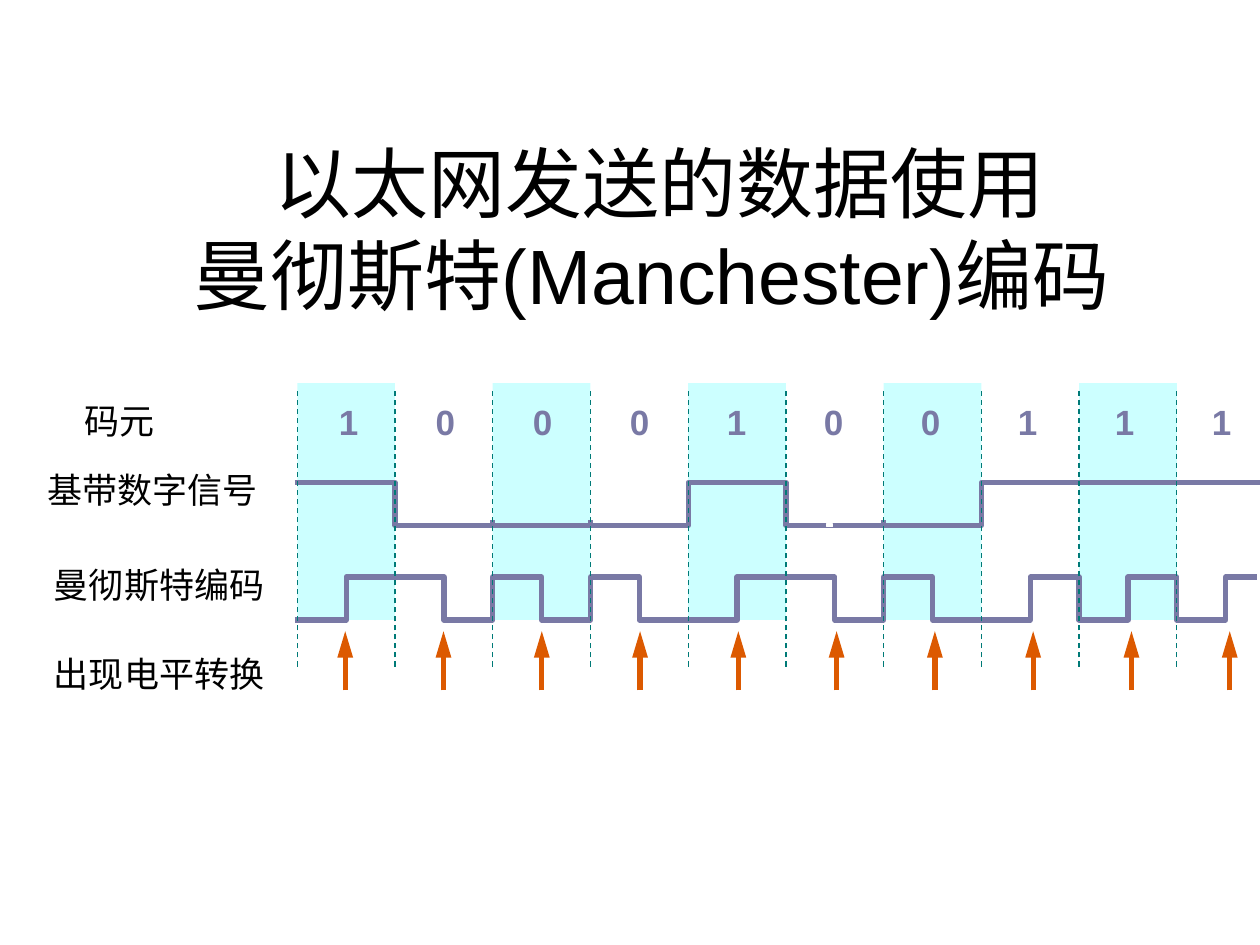
import pptx
import pptx.util
import pptx.dml.color
import pptx.enum.dml
import pptx.enum.shapes
import pptx.enum.text
import pptx.oxml
import pptx.oxml.ns
from pptx.util import Inches

BITS = "1000100111"
GRID_LEFT = 2.36
PITCH = (9.34 - GRID_LEFT) / 9
SIGNAL_LEFT = 2.34
BASEBAND = {"1": 3.83, "0": 4.17}
HIGH, LOW = 4.58, 4.92
HALVES = {"1": (LOW, HIGH), "0": (HIGH, LOW)}

PURPLE, CYAN, TEAL, ORANGE = "7979A5", "CCFFFF", "007A77", "DC5900"
BLACK, WHITE = "000000", "FFFFFF"
ALIGN = pptx.enum.text.PP_ALIGN
ANCHOR = pptx.enum.text.MSO_ANCHOR


def rgb(value):
    return pptx.dml.color.RGBColor.from_string(value)


def set_attrs(target, values):
    for name, value in values.items():
        setattr(target, name, value)


def edge(i):
    return GRID_LEFT + i * PITCH


def style_line(line, color, width, dash=None):
    line.color.rgb = rgb(color)
    set_attrs(line, {"width": pptx.util.Pt(width), "dash_style": dash})


def add_text(s, box, text, size=20, color=BLACK, bold=False, align=ALIGN.LEFT,
             anchor=ANCHOR.TOP, wrap=False):
    tf = s.shapes.add_textbox(*map(Inches, box)).text_frame
    set_attrs(tf, {"word_wrap": wrap, "vertical_anchor": anchor})
    p = tf.paragraphs[0]
    p.alignment = align
    for i, part in enumerate(text.split("\n")):
        if i:
            p.add_line_break()
        r = p.add_run()
        r.text = part
        set_attrs(r.font, {"name": "Arial", "size": pptx.util.Pt(size), "bold": bold})
        r.font.color.rgb = rgb(color)


def add_rect(s, box, fill, line=None):
    sp = s.shapes.add_shape(pptx.enum.shapes.MSO_SHAPE.RECTANGLE, *map(Inches, box))
    sp.shadow.inherit = False
    sp.fill.solid()
    sp.fill.fore_color.rgb = rgb(fill)
    if line:
        style_line(sp.line, line, 0.75)
    else:
        sp.line.fill.background()


def add_vertical(s, x, bottom, top, color, width, dash=None, arrow=False):
    kind = pptx.enum.shapes.MSO_CONNECTOR.STRAIGHT
    sp = s.shapes.add_connector(kind, *map(Inches, (x, bottom, x, top)))
    style_line(sp.line, color, width, dash)
    if arrow:
        end = pptx.oxml.parse_xml(
            '<a:tailEnd %s type="triangle" w="med" len="lg"/>' % pptx.oxml.ns.nsdecls("a"))
        sp.line._get_or_add_ln().append(end)
    effects = pptx.oxml.parse_xml("<a:effectLst %s/>" % pptx.oxml.ns.nsdecls("a"))
    sp._element.spPr.append(effects)


def add_signal(s, levels, step, right):
    """Draw a square wave that holds each level for one step."""
    points = [(SIGNAL_LEFT, levels[0])]
    for i, level in enumerate(levels):
        if level != points[-1][1]:
            x = GRID_LEFT + i * step
            points += [(x, points[-1][1]), (x, level)]
    points.append((right, levels[-1]))
    points = [(Inches(x), Inches(y)) for x, y in points]
    builder = s.shapes.build_freeform(*points[0])
    builder.add_line_segments(points[1:], close=False)
    sp = builder.convert_to_shape()
    sp.shadow.inherit = False
    sp.fill.background()
    style_line(sp.line, PURPLE, 3)


def main():
    prs = pptx.Presentation()
    set_attrs(prs, {"slide_width": Inches(10), "slide_height": Inches(7.5)})
    s = prs.slides.add_slide(prs.slide_layouts[6])

    # Title and row labels
    add_text(s, (0.98, 0.99, 8.52, 1.6), "以太网发送的数据使用\n曼彻斯特(Manchester)编码 ",
             size=44, align=ALIGN.CENTER, anchor=ANCHOR.BOTTOM, wrap=True)
    for text, left, top, width in (
        ("码元", 0.57, 3.12, 0.76),
        ("基带数字信号", 0.28, 3.67, 1.87),
        ("曼彻斯特编码", 0.33, 4.42, 1.87),
        ("出现电平转换", 0.33, 5.13, 1.87),
    ):
        add_text(s, (left, top, width, 0.43), text)

    # Bands behind every other bit, then the bits
    for i in range(0, len(BITS), 2):
        add_rect(s, (edge(i), 3.04, PITCH, 1.88), CYAN)
    for i, bit in enumerate(BITS):
        add_text(s, (2.59 + 0.77 * i, 3.13, 0.35, 0.43), bit, color=PURPLE, bold=True)

    # Baseband signal, with a tick where two equal bits meet
    add_signal(s, [BASEBAND[bit] for bit in BITS], PITCH, 10)
    for i in range(1, len(BITS)):
        if BITS[i] == BITS[i - 1]:
            bottom = 3.85 if BITS[i] == "1" else 4.16
            add_vertical(s, edge(i), bottom, bottom - 0.03, PURPLE, 3)

    # Manchester signal: each bit is two opposite halves
    add_signal(s, [half for bit in BITS for half in HALVES[bit]], PITCH / 2, 9.98)
    add_rect(s, (6.56, 4.16, 0.05, 0.02), WHITE, WHITE)

    # Bit boundaries and mid-bit transitions
    dash = pptx.enum.dml.MSO_LINE.DASH
    for i in range(len(BITS)):
        add_vertical(s, edge(i), 5.29, 3.09, TEAL, 0.75, dash)
    for i in range(len(BITS)):
        add_vertical(s, 2.74 + 0.78 * i, 5.48, 5.01, ORANGE, 3, arrow=True)

    prs.save("out.pptx")


if __name__ == "__main__":
    main()
